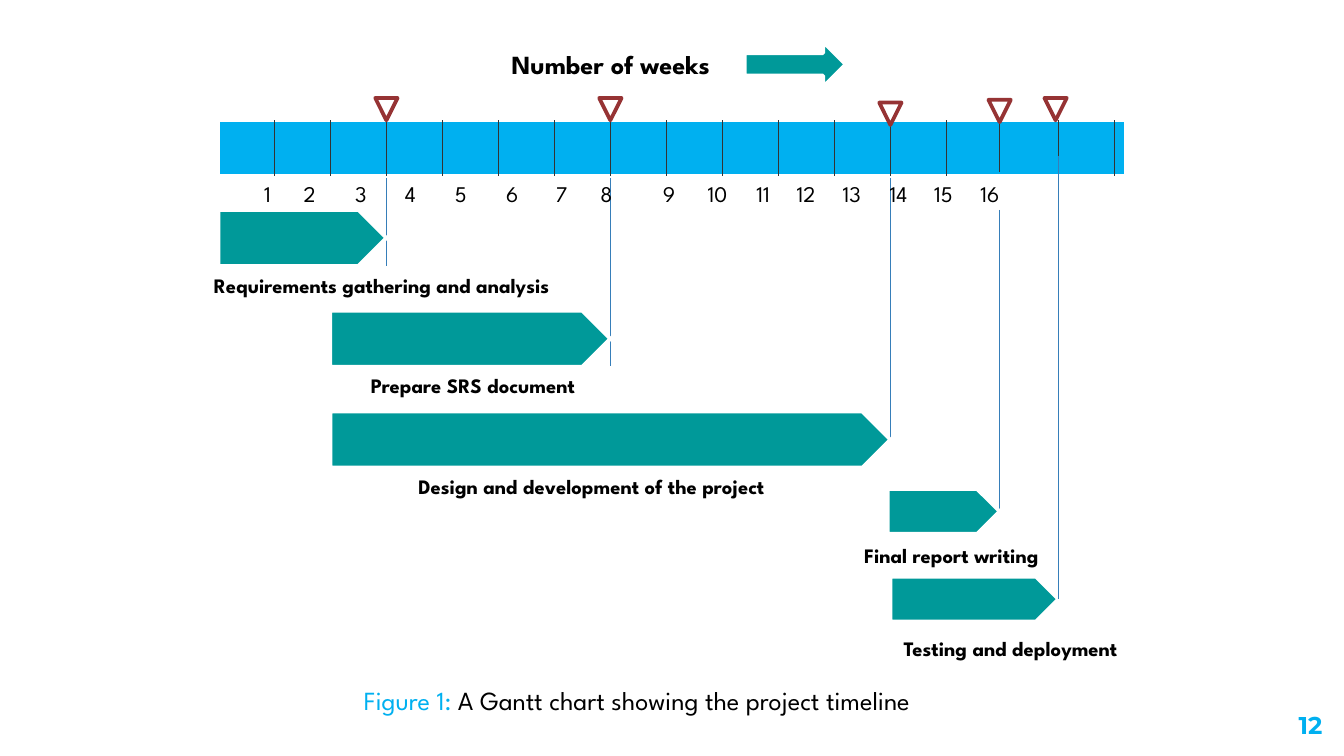
"""Build a Gantt chart slide of a project timeline in weeks."""
from dataclasses import dataclass

from lxml import etree
from pptx import Presentation
from pptx.dml.color import RGBColor
from pptx.enum import shapes, text
from pptx.oxml import ns
from pptx.util import Pt


@dataclass(frozen=True)
class Theme:
    """Colours, fonts and type sizes of the slide."""
    sky: str = "00B0F0"
    teal: str = "009999"
    maroon: str = "963334"
    blue: str = "367EB9"
    grey: str = "333333"
    white: str = "FFFFFF"
    black: str = "000000"
    body: str = "League Spartan"
    number: str = "Montserrat"
    label_size: int = 11
    week_size: int = 12
    page_size: int = 13
    title_size: int = 14
    thin: float = 0.75
    thick: float = 2


@dataclass(frozen=True)
class Task:
    """One bar with its label box, milestone and drop line."""
    name: str
    weeks: tuple
    top: float
    height: float
    label: tuple
    milestone: tuple
    drop: tuple
    fmt: dict


THEME = Theme()
CENTER, RIGHT = text.PP_ALIGN.CENTER, text.PP_ALIGN.RIGHT
FRAMED = dict(align=CENTER, outline=THEME.white)
TASKS = [
    Task("Requirements gathering and analysis", (0, 3), 112.5, 30, (105, 142.5, 294, 21),
         (3, 52.5), (94.5, 142.5), dict(left_inset=9.6)),
    Task("Prepare SRS document", (2, 7), 166.5, 30, (159, 196.5, 189, 21),
         (7, 52.5), (94.5, 196.5), FRAMED),
    Task("Design and development of the project", (2, 12), 220.5, 30, (204, 250.5, 226, 21),
         (12, 55), (70.5, None), dict(FRAMED, wrap=False)),
    Task("Final report writing", (11.95, 13.95), 262, 24, (453.5, 287.5, 112.5, 21),
         (13.95, 53.5), (112.5, None), dict(FRAMED, wrap=False)),
    Task("Testing and deployment", (12, 15), 309, 24, (461.5, 337, 160, 21),
         (14.95, 52.5), (83.5, None), dict(align=CENTER)),
]
TICKS = [(week, 64.5) for week in range(1, 14)] + [(13.95, 62), (15, 64.5), (16, 64.5)]
WEEK_CENTERS = [143.5, 166, 193.5, 220, 247, 274.5, 301, 325, 358.5, 384.5,
                409, 432, 456.5, 481.5, 505.5, 530.5]
WEEKS_BOX = (134.5, 93, 585, 21.5)
INSET = 7.2
CHART_LEFT, WEEK, BAND_TOP, BAND_HEIGHT = 117, 30, 64.5, 30
MARKER = 12

deck = Presentation()
deck.slide_width, deck.slide_height = Pt(720), Pt(405)
slide = deck.slides.add_slide(deck.slide_layouts[6])


def week_x(week):
    """Return the horizontal place of the end of a week."""
    return CHART_LEFT + WEEK * week


def add_block(kind, box, fill, outline):
    """Add a filled and outlined preset shape."""
    block = slide.shapes.add_shape(kind, *map(Pt, box))
    block.shadow.inherit = False
    block.fill.solid()
    block.fill.fore_color.rgb = RGBColor.from_string(fill)
    block.line.color.rgb = RGBColor.from_string(outline)
    block.line.width = Pt(THEME.thick)
    return block


def add_vertical(x, top, bottom, color):
    """Add a thin vertical line."""
    line = slide.shapes.add_connector(
        shapes.MSO_CONNECTOR.STRAIGHT, Pt(x), Pt(top), Pt(x), Pt(bottom))
    line.line.color.rgb = RGBColor.from_string(color)
    line.line.width = Pt(THEME.thin)
    etree.SubElement(line._element.spPr, ns.qn("a:effectLst"))
    return line


def add_drop(task):
    """Add the line that falls from a milestone to its bar."""
    top, bottom = task.drop
    return add_vertical(week_x(task.weeks[1]), top, bottom or task.top + task.height / 2, THEME.blue)


def add_text(runs, box, size=THEME.label_size, bold=False, align=None, font=THEME.body,
             wrap=True, left_inset=INSET, top_inset=3.6, outline=None, grow=True):
    """Add a text box from (wording, colour) runs."""
    holder = slide.shapes.add_textbox(*map(Pt, box))
    if outline:
        holder.line.color.rgb = RGBColor.from_string(outline)
        holder.line.width = Pt(THEME.thin)
    frame = holder.text_frame
    frame.word_wrap = wrap
    frame.auto_size = text.MSO_AUTO_SIZE.SHAPE_TO_FIT_TEXT if grow else text.MSO_AUTO_SIZE.NONE
    frame.margin_left, frame.margin_top = Pt(left_inset), Pt(top_inset)
    paragraph = frame.paragraphs[0]
    paragraph.alignment = align
    for wording, color in runs:
        run = paragraph.add_run()
        run.text = wording
        run.font.name, run.font.size, run.font.bold = font, Pt(size), bold
        run.font.color.rgb = RGBColor.from_string(color)
    return paragraph


def add_weeks():
    """Add the row of week numbers, spread by centred tab stops."""
    numbers = "\t".join(str(week + 1) for week in range(len(WEEK_CENTERS)))
    row = add_text([(numbers, THEME.black)], WEEKS_BOX, size=THEME.week_size)
    stops = etree.SubElement(row._p.get_or_add_pPr(), ns.qn("a:tabLst"))
    for center in WEEK_CENTERS[1:]:
        place = Pt(center - WEEKS_BOX[0] - INSET)
        etree.SubElement(stops, ns.qn("a:tab"), pos=str(int(place)), algn="ctr")


def main():
    """Draw the slide from back to front and save it."""
    kinds = shapes.MSO_SHAPE
    drops = [add_drop(task) for task in TASKS[:-1]]
    add_block(kinds.RECTANGLE, (CHART_LEFT, BAND_TOP, 486, BAND_HEIGHT), THEME.sky, THEME.white)
    for week, top in TICKS:
        add_vertical(week_x(week), top, top + BAND_HEIGHT, THEME.grey)
    add_weeks()

    bars = []
    for task in TASKS:
        start, end = map(week_x, task.weeks)
        bars.append(add_block(kinds.PENTAGON, (start, task.top, end - start, task.height),
                              THEME.teal, THEME.white))
    for task in TASKS:
        week, top = task.milestone
        marker = add_block(kinds.ISOSCELES_TRIANGLE,
                           (week_x(week) - MARKER / 2, top, MARKER, MARKER),
                           THEME.white, THEME.maroon)
        marker._element.spPr.xfrm.set("flipV", "1")
    for task in TASKS:
        add_text([(task.name, THEME.black)], task.label, bold=True, **task.fmt)
    drops.append(add_drop(TASKS[-1]))
    for task, drop, bar in zip(TASKS, drops, bars):
        if task.drop[1] is None:
            drop.end_connect(bar, 3)

    add_text([("Figure 1: ", THEME.sky), ("A Gantt chart showing the project timeline", THEME.black)],
             (150, 363, 432, 24.5), size=THEME.title_size, left_inset=45)
    add_text([("Number of weeks", THEME.black)], (267, 22.5, 150, 24.5),
             size=THEME.title_size, bold=True)
    add_block(kinds.RIGHT_ARROW, (399, 22.5, 54, 24), THEME.teal, THEME.white)
    add_text([("12", THEME.sky)], (672.5, 373.5, 43, 31), size=THEME.page_size, bold=True,
             align=RIGHT, font=THEME.number, top_inset=INSET, grow=False)
    deck.save("out.pptx")


if __name__ == "__main__":
    main()
